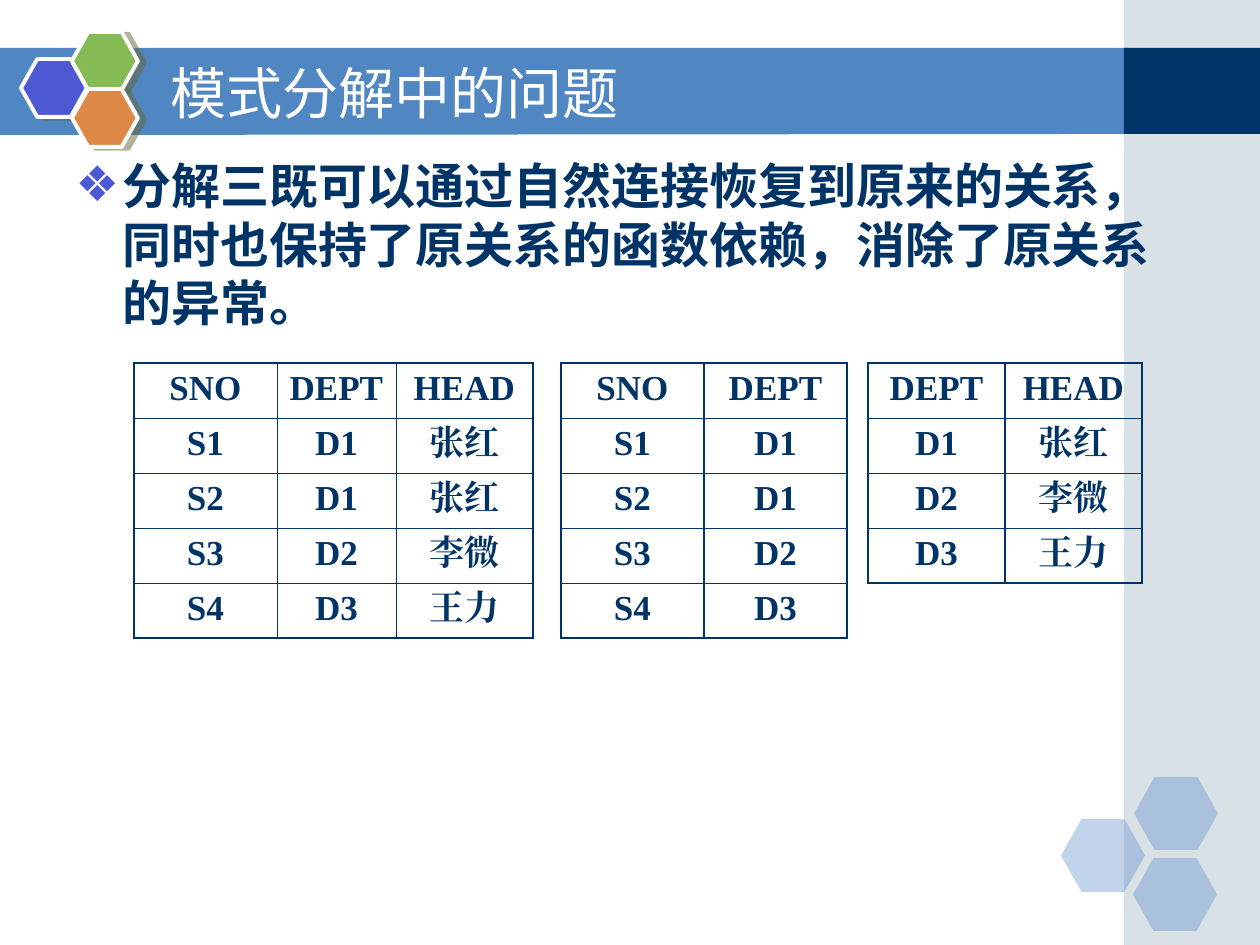
from lxml.etree import SubElement
from pptx import Presentation
from pptx.dml.color import RGBColor
from pptx.enum.shapes import MSO_SHAPE as Kind
from pptx.enum.text import MSO_ANCHOR as Anchor, PP_ALIGN as Align
from pptx.oxml.ns import qn
from pptx.util import Emu, Pt

PX = 914400 / 126
NAVY = RGBColor(0x00, 0x33, 0x66)
BLUE = RGBColor(0x50, 0x86, 0xC2)
GREY = RGBColor(0xA0, 0xB5, 0xC4)
VIOLET = RGBColor(0x4C, 0x59, 0xD2)
GREEN = RGBColor(0x85, 0xBA, 0x54)
ORANGE = RGBColor(0xDE, 0x88, 0x48)
OLIVE = RGBColor(0x66, 0x66, 0x33)
WHITE = RGBColor(0xFF, 0xFF, 0xFF)
SANS, SERIF = "DejaVu Sans", "Times New Roman"
THIN, THICK = Pt(0.45), Pt(1.08)


def paint(shape, colour, alpha=100):
    """Give a flat fill with no line or shadow; alpha is in percent."""
    shape.shadow.inherit = False
    shape.line.fill.background()
    shape.fill.solid()
    shape.fill.fore_color.rgb = colour
    if alpha < 100:
        tint = shape._element.spPr.find(".//" + qn("a:srgbClr"))
        SubElement(tint, qn("a:alpha"), val=str(alpha * 1000))


def style(para, face, size, colour, bold):
    """Format every run, in Latin and East Asian script alike."""
    for run in para.runs:
        font = run.font
        font.name, font.size, font.bold = face, Pt(size), bold
        font.color.rgb = colour
        SubElement(run._r.get_or_add_rPr(), qn("a:ea"), typeface=face)


deck = Presentation()
deck.slide_width, deck.slide_height = Emu(9144000), Emu(6858000)
slide = deck.slides.add_slide(deck.slide_layouts[5])
shapes = slide.shapes

# Title band and side strip
pen = shapes.build_freeform(-1, 48, scale=PX)
pen.add_line_segments([(1128, 48), (1128, 134), (-1, 135)], close=True)
paint(pen.convert_to_shape(), BLUE)
for top, high, colour, alpha in [(0, 945, GREY, 40), (48, 86, NAVY, 100)]:
    strip = shapes.add_shape(
        Kind.RECTANGLE, *[Emu(round(n * PX)) for n in (1124, top, 136, high)])
    paint(strip, colour, alpha)

# Hexagon clusters: pale in the corner, bright beside the title
cells = [
    (1061, 819, 84, 73, BLUE, 35),
    (1134, 777, 84, 73, BLUE, 35),
    (1133, 858, 84, 73, BLUE, 35),
    (21, 59, 66, 58, VIOLET, 100),
    (72, 32, 66, 58, GREEN, 100),
    (72, 89, 66, 58, ORANGE, 100),
]
for *place, colour, alpha in cells:
    hexa = shapes.add_shape(Kind.HEXAGON, *[Emu(round(n * PX)) for n in place])
    hexa.adjustments[0] = 0.28
    paint(hexa, colour, alpha)
    if alpha == 100:
        hexa.line.color.rgb = WHITE
        hexa.line.width = Pt(2.25)
        effects = hexa._element.spPr.find(qn("a:effectLst"))
        shade = SubElement(effects, qn("a:outerShdw"), blurRad="0",
                           dist=str(Pt(4.1)), dir=str(14 * 60000),
                           algn="ctr", rotWithShape="0")
        tint = SubElement(shade, qn("a:srgbClr"), val=str(OLIVE))
        SubElement(tint, qn("a:alpha"), val="50000")

# Title, raised above the band
title = shapes.title
title.left, title.top, title.width, title.height = [
    Emu(round(n * PX)) for n in (158, 53, 924, 78)]
frame = title.text_frame
frame.text = "模式分解中的问题"
frame.vertical_anchor = Anchor.MIDDLE
frame.paragraphs[0].alignment = Align.LEFT
style(frame.paragraphs[0], SANS, 32, WHITE, False)
shapes._spTree.append(title._element)

# Body
body = shapes.add_textbox(*[Emu(round(n * PX)) for n in (63, 149, 1134, 723)])
frame = body.text_frame
frame.word_wrap = True
para = frame.paragraphs[0]
para.text = ("分解三既可以通过自然连接恢复到原来的关系，"
             "同时也保持了原关系的函数依赖，消除了原关系的异常。")
props = para._p.get_or_add_pPr()
hang = round(47 * PX)
props.set("marL", str(hang))
props.set("indent", str(-hang))
tint = SubElement(props, qn("a:buClr"))
SubElement(tint, qn("a:srgbClr"), val=str(VIOLET))
SubElement(props, qn("a:buFont"), typeface=SANS)
SubElement(props, qn("a:buChar"), char="❖")
style(para, SANS, 28, NAVY, True)

# Tables: left edge, column widths, inner upright line, rows
tables = [
    (134, (143, 119, 137), THIN,
     ["SNO DEPT HEAD", "S1 D1 张红", "S2 D1 张红", "S3 D2 李微", "S4 D3 王力"]),
    (561, (143, 143), THICK,
     ["SNO DEPT", "S1 D1", "S2 D1", "S3 D2", "S4 D3"]),
    (868, (137, 137), THICK,
     ["DEPT HEAD", "D1 张红", "D2 李微", "D3 王力"]),
]
for left, widths, inner, lines in tables:
    rows = [line.split() for line in lines]
    place = (left, 363, sum(widths), 55 * len(rows))
    table = shapes.add_table(len(rows), len(widths),
                             *[Emu(round(n * PX)) for n in place]).table
    table.first_row = table.horz_banding = False
    for col, width in zip(table.columns, widths):
        col.width = Emu(round(width * PX))
    for r, row in enumerate(rows):
        for c, word in enumerate(row):
            cell = table.cell(r, c)
            cell.text = word
            para = cell.text_frame.paragraphs[0]
            para.alignment = Align.CENTER
            style(para, SERIF, 20, NAVY, True)
            edges = {
                "L": THICK if c == 0 else inner,
                "R": THICK if c == len(row) - 1 else inner,
                "T": THICK if r == 0 else THIN,
                "B": THICK if r == len(rows) - 1 else THIN,
            }
            props = cell._tc.get_or_add_tcPr()
            for side, width in edges.items():
                edge = SubElement(props, qn("a:ln" + side), w=str(width))
                fill = SubElement(edge, qn("a:solidFill"))
                SubElement(fill, qn("a:srgbClr"), val=str(NAVY))
            cell.fill.background()

deck.save("out.pptx")
